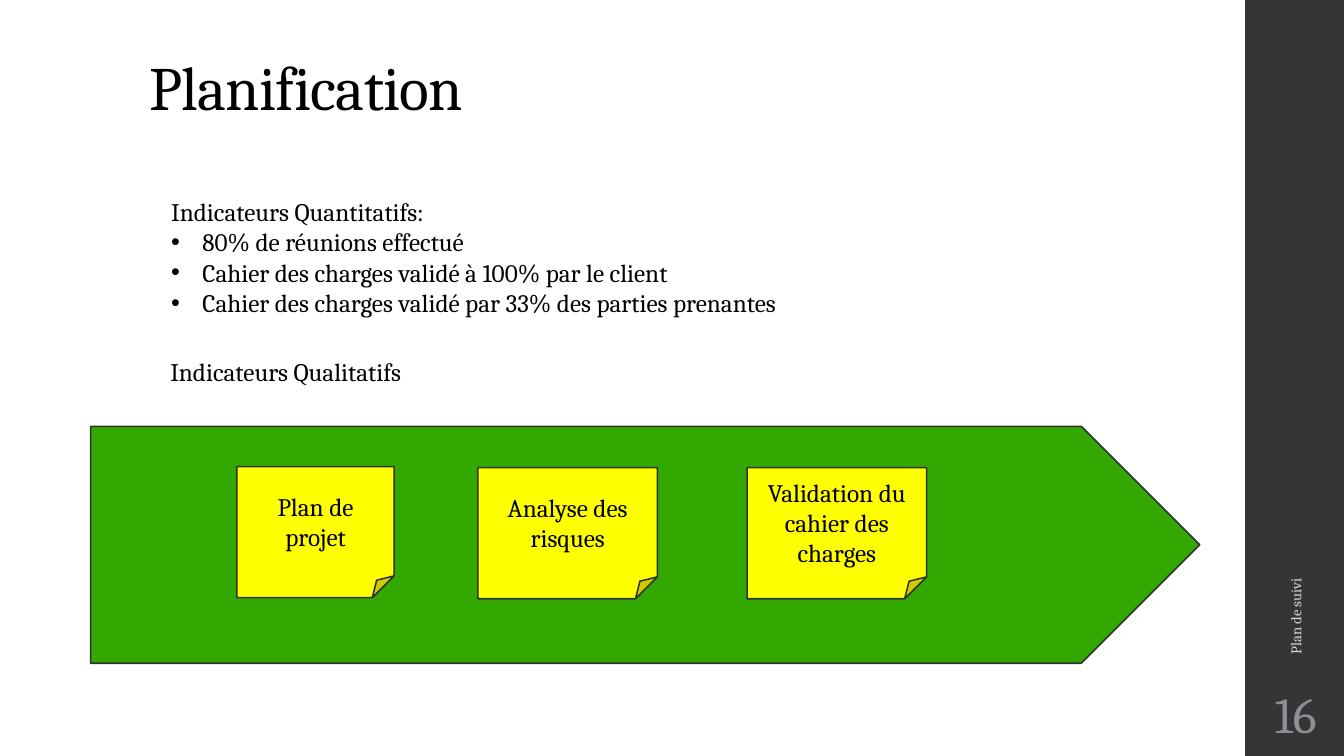
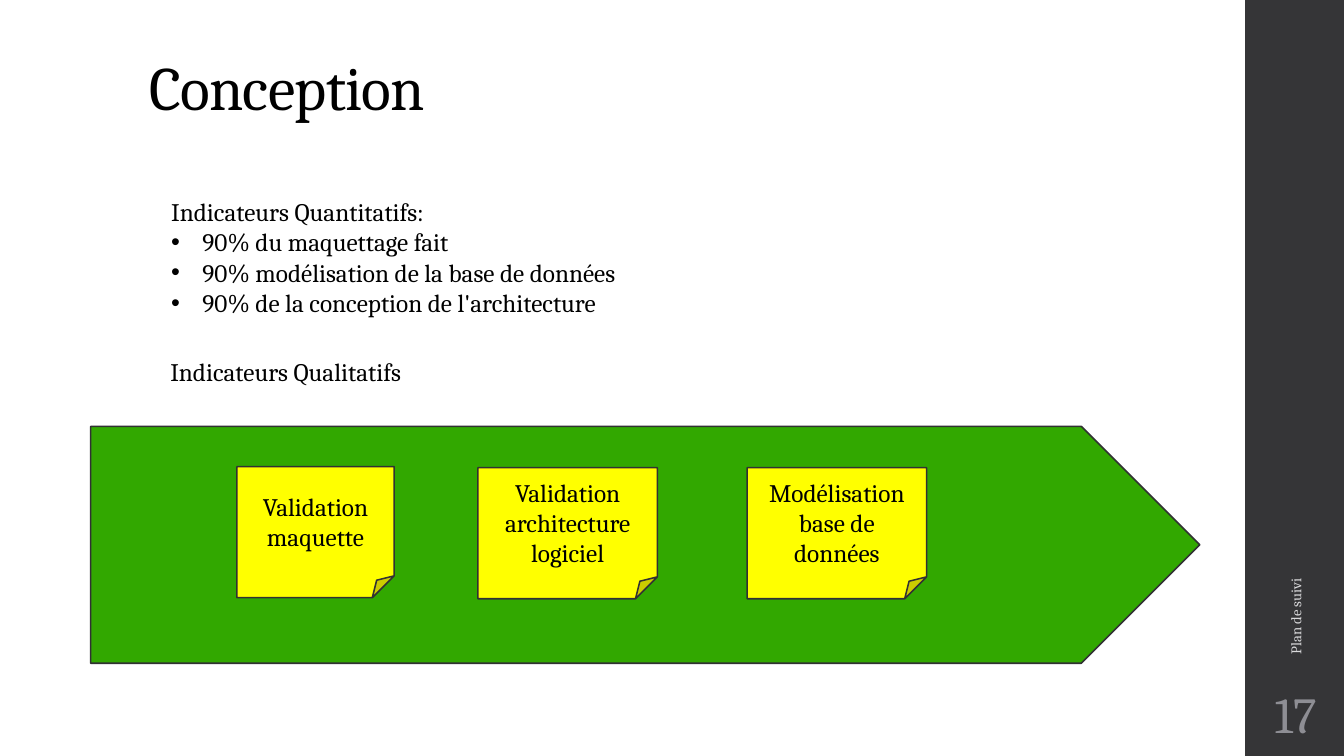
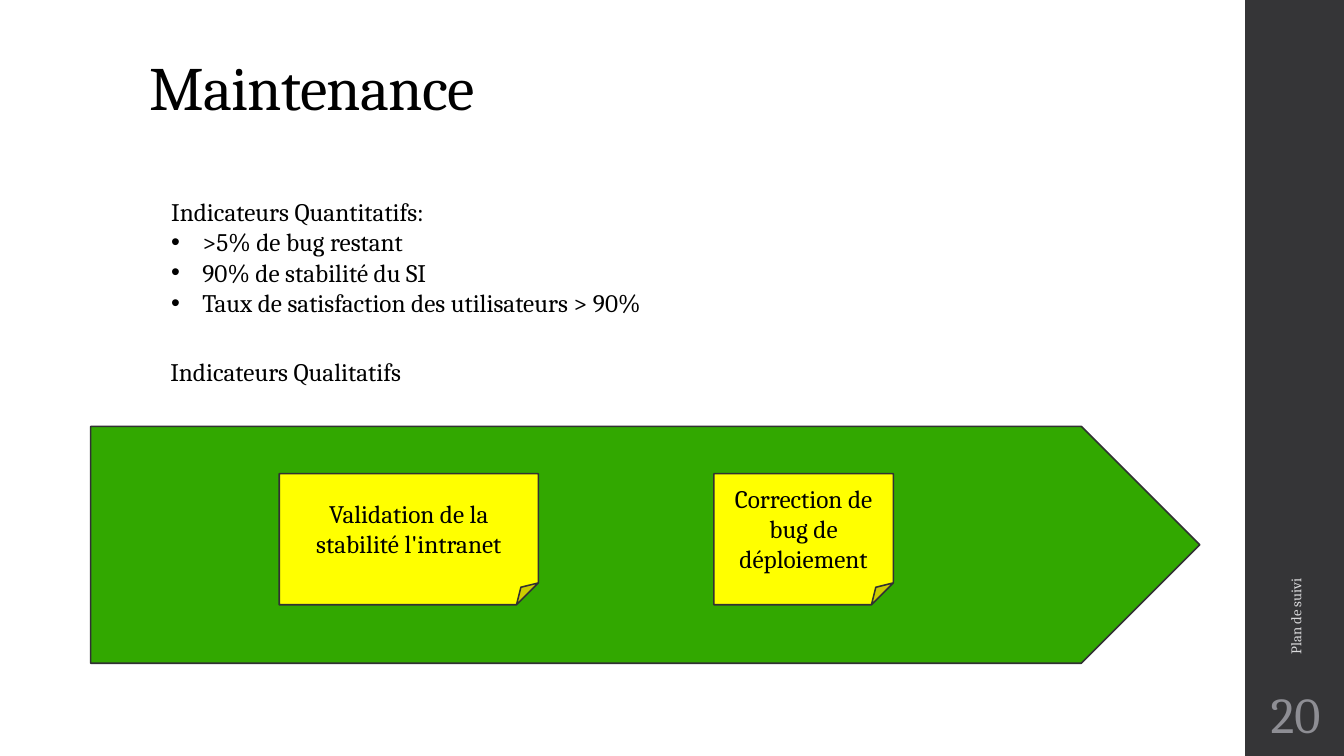
from lxml import etree
from pptx import Presentation
from pptx.dml.color import RGBColor
from pptx.enum.shapes import MSO_SHAPE
from pptx.enum.text import MSO_ANCHOR, PP_ALIGN
from pptx.oxml.ns import qn
from pptx.util import Inches, Pt

RECT, ARROW, NOTE = MSO_SHAPE.RECTANGLE, MSO_SHAPE.PENTAGON, MSO_SHAPE.FOLDED_CORNER
TOP, MIDDLE, BOTTOM = MSO_ANCHOR.TOP, MSO_ANCHOR.MIDDLE, MSO_ANCHOR.BOTTOM
LEFT, CENTER = PP_ALIGN.LEFT, PP_ALIGN.CENTER

FONT = "Cambria"
COLORS = {
    "text": "000000",
    "band": "353537",
    "arrow": "32A800",
    "note": "FFFF00",
    "outline": "313133",
    "number": "8E8E94",
    "footer": "D9D9DB",
}


def rgb(name):
    return RGBColor.from_string(COLORS[name])


class Deck:
    """Holds the style and the current slide."""

    def __init__(self):
        self.prs = Presentation()
        self.prs.slide_width, self.prs.slide_height = Inches(13.33), Inches(7.5)
        self.s = None

    def new_slide(self, title, number):
        self.s = self.prs.slides.add_slide(self.prs.slide_layouts[6])
        # Side band with footer and slide number
        self.shape(RECT, (12.35, 0, 1, 7.5), "band")
        self.text((12.35, 6.75, 1, 0.65), [str(number)], 36, "number", MIDDLE, CENTER, 0.05)
        footer = self.text((10.89, 4.43, 3.92, 0.4), ["Plan de suivi"], 10.5, "footer", MIDDLE)
        footer.rotation = 270
        # Title
        sp = self.text((1.38, 0.4, 10.6, 0.88), [title], 44, anchor=BOTTOM)
        p = sp.text_frame.paragraphs[0]
        p.line_spacing = 0.9
        p._p.pPr.find(qn("a:defRPr")).set("spc", "-50")

    def shape(self, kind, box, fill, line=None):
        sp = self.s.shapes.add_shape(kind, *map(Inches, box))
        sp.shadow.inherit = False
        sp.fill.solid()
        sp.fill.fore_color.rgb = rgb(fill)
        if line:
            sp.line.color.rgb = rgb(line)
            sp.line.width = Pt(1.1)
        else:
            sp.line.fill.background()
        return sp

    def set_text(self, sp, lines, size=18, color="text", anchor=TOP, align=LEFT):
        tf = sp.text_frame
        tf.word_wrap = True
        tf.vertical_anchor = anchor
        for i, line in enumerate(lines):
            p = tf.add_paragraph() if i else tf.paragraphs[0]
            p.text = line
            p.alignment = align
            p.font.name, p.font.size = FONT, Pt(size)
            p.font.color.rgb = rgb(color)

    def text(self, box, lines, size=18, color="text", anchor=TOP, align=LEFT, inset=None):
        sp = self.s.shapes.add_textbox(*map(Inches, box))
        self.set_text(sp, lines, size, color, anchor, align)
        if inset is not None:
            tf = sp.text_frame
            tf.margin_left = tf.margin_right = tf.margin_top = tf.margin_bottom = Inches(inset)
        return sp

    def bullet(self, p):
        pPr = p._p.get_or_add_pPr()
        pPr.set("marL", str(Inches(0.31)))
        pPr.set("indent", str(-Inches(0.31)))
        font, char = etree.Element(qn("a:buFont")), etree.Element(qn("a:buChar"))
        font.set("typeface", "Arial")
        char.set("char", "•")
        # Bullet elements come before the default run properties
        pPr.find(qn("a:defRPr")).addprevious(font)
        font.addnext(char)

    def indicators(self, items):
        sp = self.text((1.6, 1.9, 9.13, 1.31), ["Indicateurs Quantitatifs:"] + items)
        for p in sp.text_frame.paragraphs[1:]:
            self.bullet(p)
        self.text((1.59, 3.49, 5.08, 0.4), ["Indicateurs Qualitatifs"])

    def milestones(self, boxes, labels):
        self.shape(ARROW, (0.9, 4.23, 11, 2.35), "arrow", "outline")
        for (left, top, width), label in zip(boxes, labels):
            sp = self.shape(NOTE, (left, top, width, 1.3), "note", "outline")
            self.set_text(sp, [label], anchor=MIDDLE, align=CENTER)


# Left, top and width of the notes on the arrow
THREE_NOTES = [(2.35, 4.63, 1.56), (4.74, 4.64, 1.78), (7.41, 4.64, 1.78)]
TWO_NOTES = [(2.77, 4.7, 2.57), (7.08, 4.7, 1.78)]

# Title, number, quantitative indicators, note boxes, note labels
PHASES = [
    ("Planification", 16,
     ["80% de réunions effectué",
      "Cahier des charges validé à 100% par le client",
      "Cahier des charges validé par 33% des parties prenantes"],
     THREE_NOTES,
     ["Plan de projet", "Analyse des risques", "Validation du cahier des charges"]),
    ("Conception", 17,
     ["90% du maquettage fait",
      "90% modélisation de la base de données",
      "90% de la conception de l'architecture"],
     THREE_NOTES,
     ["Validation maquette", "Validation architecture logiciel", "Modélisation base de données"]),
    ("Maintenance", 20,
     [">5% de bug restant",
      "90% de stabilité du SI",
      "Taux de satisfaction des utilisateurs > 90%"],
     TWO_NOTES,
     ["Validation de la stabilité l'intranet", "Correction de bug de déploiement"]),
]


def main():
    deck = Deck()
    for title, number, items, boxes, labels in PHASES:
        deck.new_slide(title, number)
        deck.indicators(items)
        deck.milestones(boxes, labels)
    deck.prs.save("out.pptx")


if __name__ == "__main__":
    main()
